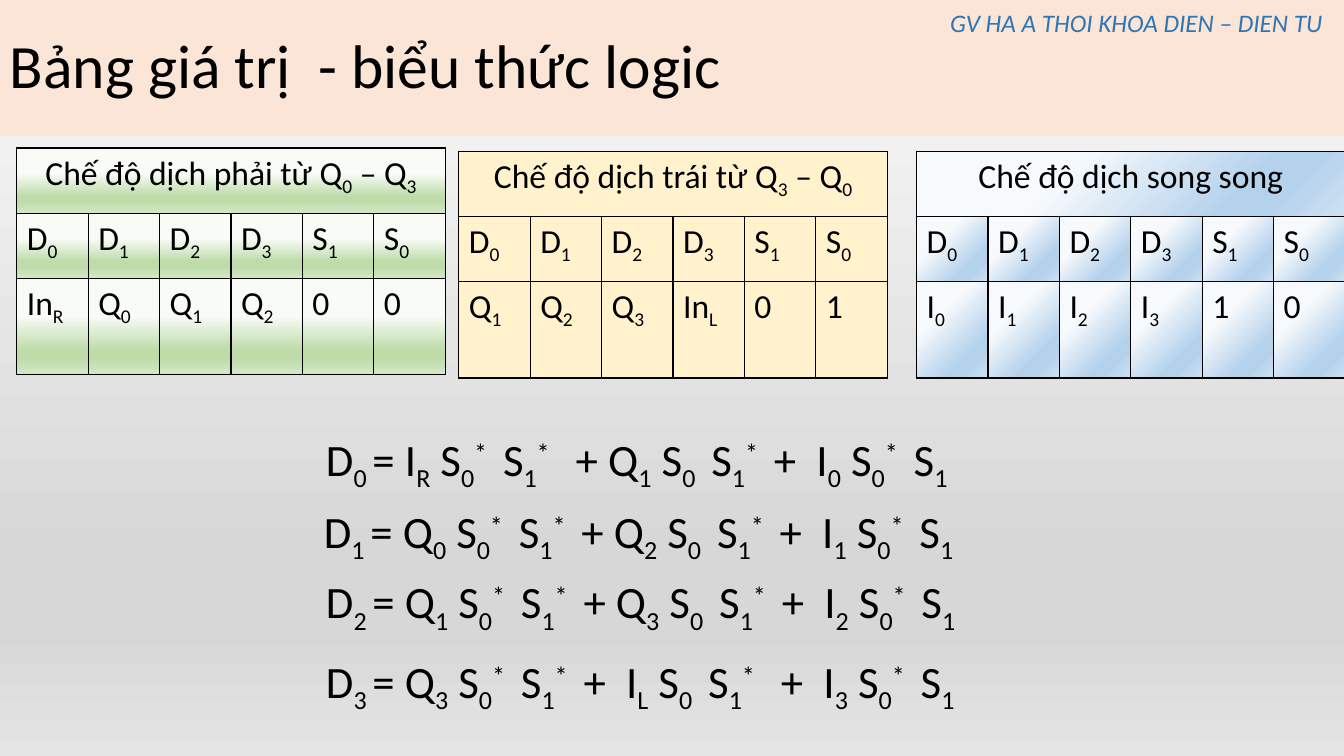
from dataclasses import dataclass

from lxml import etree
from pptx import Presentation
from pptx.dml.color import RGBColor
from pptx.dml.fill import FillFormat
from pptx.enum.shapes import MSO_SHAPE
from pptx.enum.text import MSO_ANCHOR, MSO_AUTO_SIZE, PP_ALIGN
from pptx.oxml.ns import qn
from pptx.slide import Slide
from pptx.table import _Cell
from pptx.text.text import TextFrame
from pptx.util import Emu, Pt

LEFT, CENTER = PP_ALIGN.LEFT, PP_ALIGN.CENTER
MIDDLE = MSO_ANCHOR.MIDDLE
GROW = MSO_AUTO_SIZE.SHAPE_TO_FIT_TEXT
RECT = MSO_SHAPE.RECTANGLE
PX = 9525
SHIFT = {"_": "-25000", "^": "30000"}


@dataclass(frozen=True)
class Blend:
    stops: tuple[tuple[int, str], ...]
    turn: int  # counterclockwise degrees


@dataclass(frozen=True)
class Theme:
    font: str = "Calibri"
    ink: str = "000000"
    note: str = "2E75B6"
    band: str = "FBE5D6"
    cream: str = "FFF2CC"
    back: Blend = Blend(((0, "FAFAFA"), (74, "D7D7D7"), (83, "D7D7D7"), (100, "E4E4E4")), 270)
    green: Blend = Blend(((39, "F8FBF6"), (74, "BEDCAA"), (83, "BEDCAA"), (100, "D4E8C6")), 270)
    blue: Blend = Blend(((34, "F7FAFD"), (74, "B5D2EC"), (83, "B5D2EC"), (100, "CEE1F2")), 315)
    title: int = 44
    logic: int = 32
    cell: int = 24
    small: int = 18


THEME = Theme()


@dataclass(frozen=True)
class Mode:
    x: int
    y: int
    head: str
    vals: tuple[str, ...]
    fill: str | Blend


@dataclass(frozen=True)
class Logic:
    x: int
    y: int
    first: str
    next: str
    last: str = " +  I"


# Text marks: | parts runs, _ lowers a run, ^ raises it
HEADS = ("D|_0", "D|_1", "D|_2", "D|_3", "S|_1", "S|_0")
MODES = (
    Mode(16, 141, "Chế độ dịch phải từ Q|_0| – Q|_3",
         ("In|_R", "Q|_0", "Q|_1", "Q|_2", "0", "0"), THEME.green),
    Mode(437, 144, "Chế độ dịch trái từ Q|_3| – Q|_0",
         ("Q|_1", "Q|_2", "Q|_3", "In|_L", "0", "1"), THEME.cream),
    Mode(873, 144, "Chế độ dịch song song",
         ("I|_0", "I|_1", "I|_2", "I|_3", "1", "0"), THEME.blue),
)
LOGICS = (
    Logic(301, 406, "I|_R", "  + Q|_1"),
    Logic(299, 475, "Q|_0", " + Q|_2"),
    Logic(301, 542, "Q|_1", " + Q|_3"),
    Logic(301, 618, "Q|_3", " +  I|_L", "  +  I"),
)
COL, ROWS = 68, (62, 62, 92)


def px(*nums: int) -> list[Emu]:
    return [Emu(num * PX) for num in nums]


def write(frame: TextFrame, text: str, *, size: int, color: str = THEME.ink,
          align: PP_ALIGN = LEFT, italic: bool = False, space: float = 1.0) -> None:
    para = frame.paragraphs[0]
    para.alignment, para.line_spacing = align, space
    for part in text.split("|"):
        mark = SHIFT.get(part[0])
        run = para.add_run()
        run.text = part[1:] if mark else part
        font = run.font
        font.name, font.size, font.italic = THEME.font, Pt(size), italic
        font.color.rgb = RGBColor.from_string(color)
        if mark:
            run._r.get_or_add_rPr().set("baseline", mark)


def paint(fill: FillFormat, root: etree._Element, tone: str | Blend) -> None:
    if isinstance(tone, str):
        fill.solid()
        fill.fore_color.rgb = RGBColor.from_string(tone)
        return
    fill.gradient()
    fill.gradient_angle = tone.turn
    stops = root.find(".//" + qn("a:gsLst"))
    for stop in list(stops):
        stops.remove(stop)
    for spot, color in tone.stops:
        stop = etree.SubElement(stops, qn("a:gs"), pos=str(spot * 1000))
        etree.SubElement(stop, qn("a:srgbClr"), val=color)


def frame_cell(cell: _Cell) -> None:
    props = cell._tc.get_or_add_tcPr()
    for spot, side in enumerate(("lnL", "lnR", "lnT", "lnB")):
        line = etree.Element(qn("a:" + side), w=str(Pt(1)))
        solid = etree.SubElement(line, qn("a:solidFill"))
        etree.SubElement(solid, qn("a:srgbClr"), val=THEME.ink)
        props.insert(spot, line)


def add_mode(slide: Slide, mode: Mode) -> None:
    wide = len(HEADS)
    box = px(mode.x, mode.y, COL * wide, sum(ROWS))
    table = slide.shapes.add_table(len(ROWS), wide, *box).table
    table.first_row = table.horz_banding = False
    for col in table.columns:
        col.width = Emu(COL * PX)
    for row, high in zip(table.rows, ROWS):
        row.height = Emu(high * PX)
    for cell in table.iter_cells():
        paint(cell.fill, cell._tc, mode.fill)
        frame_cell(cell)
    top = table.cell(0, 0)
    top.merge(table.cell(0, wide - 1))
    write(top.text_frame, mode.head, size=THEME.cell, align=CENTER)
    for row, texts in enumerate((HEADS, mode.vals), 1):
        for col, text in enumerate(texts):
            write(table.cell(row, col).text_frame, text, size=THEME.cell)


def add_box(slide: Slide, x: int, y: int, w: int, h: int, wrap: bool = True) -> TextFrame:
    frame = slide.shapes.add_textbox(*px(x, y, w, h)).text_frame
    frame.word_wrap, frame.auto_size = wrap, GROW
    return frame


def add_title(slide: Slide) -> None:
    band = slide.shapes.add_shape(RECT, *px(0, 0, 1280, 130))
    band.shadow.inherit = False
    band.line.fill.background()
    paint(band.fill, band.element, THEME.band)
    band.text_frame.vertical_anchor = MIDDLE
    write(band.text_frame, "Bảng giá trị  - biểu thức logic", size=THEME.title, space=0.9)


def add_logic(slide: Slide, num: int, item: Logic) -> None:
    text = (f"D|_{num} |= {item.first}| S|_0|^* | S|_1|^* "
            f"|{item.next}| S|_0 | S|_1|^* "
            f"|{item.last}|_{num}| S|_0|^* | S|_1")
    write(add_box(slide, item.x, item.y, 650, 61), text, size=THEME.logic)


def main() -> None:
    deck = Presentation()
    deck.slide_width, deck.slide_height = px(1280, 720)
    slide = deck.slides.add_slide(deck.slide_layouts[6])
    paint(slide.background.fill, slide.element, THEME.back)

    # Title band
    add_title(slide)

    # Value tables
    for mode in MODES:
        add_mode(slide, mode)

    # Logic formulas
    for num, item in enumerate(LOGICS):
        add_logic(slide, num, item)

    # Teacher note
    note = add_box(slide, 893, 2, 384, 38, wrap=False)
    write(note, "GV HA A THOI KHOA DIEN – DIEN TU ", size=THEME.small,
          color=THEME.note, align=CENTER, italic=True)
    deck.save("out.pptx")


if __name__ == "__main__":
    main()
